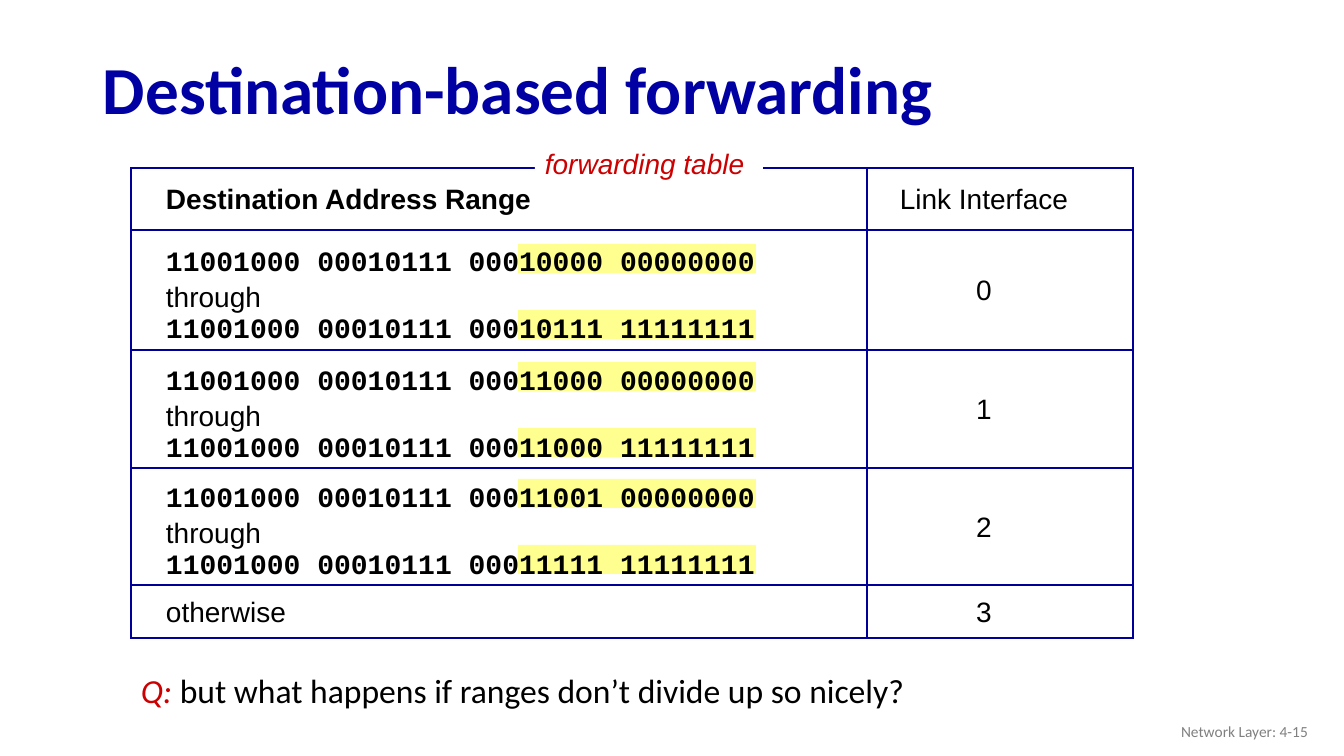
from lxml import etree
from pptx import Presentation
from pptx.dml.color import RGBColor
from pptx.enum.shapes import MSO_SHAPE
from pptx.enum.text import MSO_ANCHOR, PP_ALIGN
from pptx.oxml.ns import qn
from pptx.util import Emu, Pt

RECTANGLE = MSO_SHAPE.RECTANGLE
TOP, MIDDLE = MSO_ANCHOR.TOP, MSO_ANCHOR.MIDDLE
LEFT, CENTER, RIGHT = PP_ALIGN.LEFT, PP_ALIGN.CENTER, PP_ALIGN.RIGHT
EMU_PER_PX = 12192000 / 1344

THEME = {
    "title": "0000A3", "grid": "000099", "accent": "CC0000", "text": "000000",
    "footer": "808080", "highlight": "FFFF00", "white": "FFFFFF",
    "heading_font": "Calibri", "table_font": "Arial", "code_font": "Courier New",
    "title_size": 48, "table_size": 20, "question_size": 24, "footer_size": 11,
    "line_spacing": 24,
}


def px(length):
    return Emu(round(length * EMU_PER_PX))


def style(span, font, size, color, bold=False, italic=False):
    span.font.name = font
    span.font.size = Pt(size)
    span.font.color.rgb = RGBColor.from_string(color)
    span.font.bold = bold
    span.font.italic = italic


deck = Presentation()
deck.slide_width, deck.slide_height = px(1344), px(756)
page = deck.slides.add_slide(deck.slide_layouts[6])

row_edges = [168, 230, 350, 468, 585, 638]
column_edges = [131, 867, 1133]
entries = [
    (["Destination Address Range"], "Link Interface"),
    (["11001000 00010111 00010000 00000000", "through",
      "11001000 00010111 00010111 11111111"], "0"),
    (["11001000 00010111 00011000 00000000", "through",
      "11001000 00010111 00011000 11111111"], "1"),
    (["11001000 00010111 00011001 00000000", "through",
      "11001000 00010111 00011111 11111111"], "2"),
    (["otherwise"], "3"),
]

for bottom in row_edges[2:5]:
    for rise in (106, 40):
        mark = page.shapes.add_shape(RECTANGLE, px(518), px(bottom - rise), px(238), px(29))
        mark.shadow.inherit = False
        mark.line.fill.background()
        mark.fill.solid()
        mark.fill.fore_color.rgb = RGBColor.from_string(THEME["highlight"])
        color = mark.fill._xPr.find(".//" + qn("a:srgbClr"))
        etree.SubElement(color, qn("a:alpha"), val="44000")

frame = page.shapes.add_table(
    len(entries), 2, px(column_edges[0]), px(row_edges[0]),
    px(column_edges[-1] - column_edges[0]), px(row_edges[-1] - row_edges[0]))
table = frame.table
table.first_row = False
table.horz_banding = False
for index, (start, end) in enumerate(zip(column_edges, column_edges[1:])):
    table.columns[index].width = px(end - start)
for index, (start, end) in enumerate(zip(row_edges, row_edges[1:])):
    table.rows[index].height = px(end - start)

for row, (address_lines, interface) in enumerate(entries):
    for column, lines in enumerate((address_lines, [interface])):
        cell = table.cell(row, column)
        cell.text = "\n".join(lines)
        cell.vertical_anchor = MIDDLE
        cell.margin_left = px(0 if column else 35)
        cell.margin_right = px(32 if column else 0)
        cell.margin_top = px(13 if len(lines) > 1 else 0)
        cell.margin_bottom = 0
        for para in cell.text_frame.paragraphs:
            para.alignment = CENTER if column else LEFT
            para.line_spacing = Pt(THEME["line_spacing"])
            is_address = para.text.startswith("1100")
            font = THEME["code_font"] if is_address else THEME["table_font"]
            is_bold = is_address or (row == 0 and column == 0)
            style(para.runs[0], font, THEME["table_size"], THEME["text"], bold=is_bold)
        properties = cell._tc.get_or_add_tcPr()
        inner_side = "a:lnL" if column else "a:lnR"
        for side in ("a:lnL", "a:lnR", "a:lnT", "a:lnB"):
            width = Pt(1) if side == inner_side else Pt(1.5)
            border = etree.SubElement(properties, qn(side), w=str(width))
            fill = etree.SubElement(border, qn("a:solidFill"))
            etree.SubElement(fill, qn("a:srgbClr"), val=THEME["grid"])
        cell.fill.background()

heading, plain = THEME["heading_font"], THEME["table_font"]
texts = [
    (93, 38, 1159, 99, MIDDLE, LEFT,
     [("Destination-based forwarding", heading, THEME["title_size"], THEME["title"], True, False)]),
    (535, 142, 228, 44, TOP, LEFT,
     [("forwarding table", plain, THEME["table_size"], THEME["accent"], False, True)]),
    (131, 665, 807, 50, TOP, LEFT,
     [("Q:", heading, THEME["question_size"], THEME["accent"], False, True),
      (" but what happens if ranges don’t divide up so nicely?", heading,
       THEME["question_size"], THEME["text"], False, False)]),
    (1016, 711, 302, 40, MIDDLE, RIGHT,
     [("Network Layer: 4-15", heading, THEME["footer_size"], THEME["footer"], False, False)]),
]
for left, top, width, height, anchor, alignment, spans in texts:
    box = page.shapes.add_textbox(px(left), px(top), px(width), px(height))
    box.text_frame.word_wrap = True
    box.text_frame.vertical_anchor = anchor
    para = box.text_frame.paragraphs[0]
    para.alignment = alignment
    for wording, *look in spans:
        span = para.add_run()
        span.text = wording
        style(span, *look)
    if wording == "forwarding table":
        box.fill.solid()
        box.fill.fore_color.rgb = RGBColor.from_string(THEME["white"])

deck.save("out.pptx")
